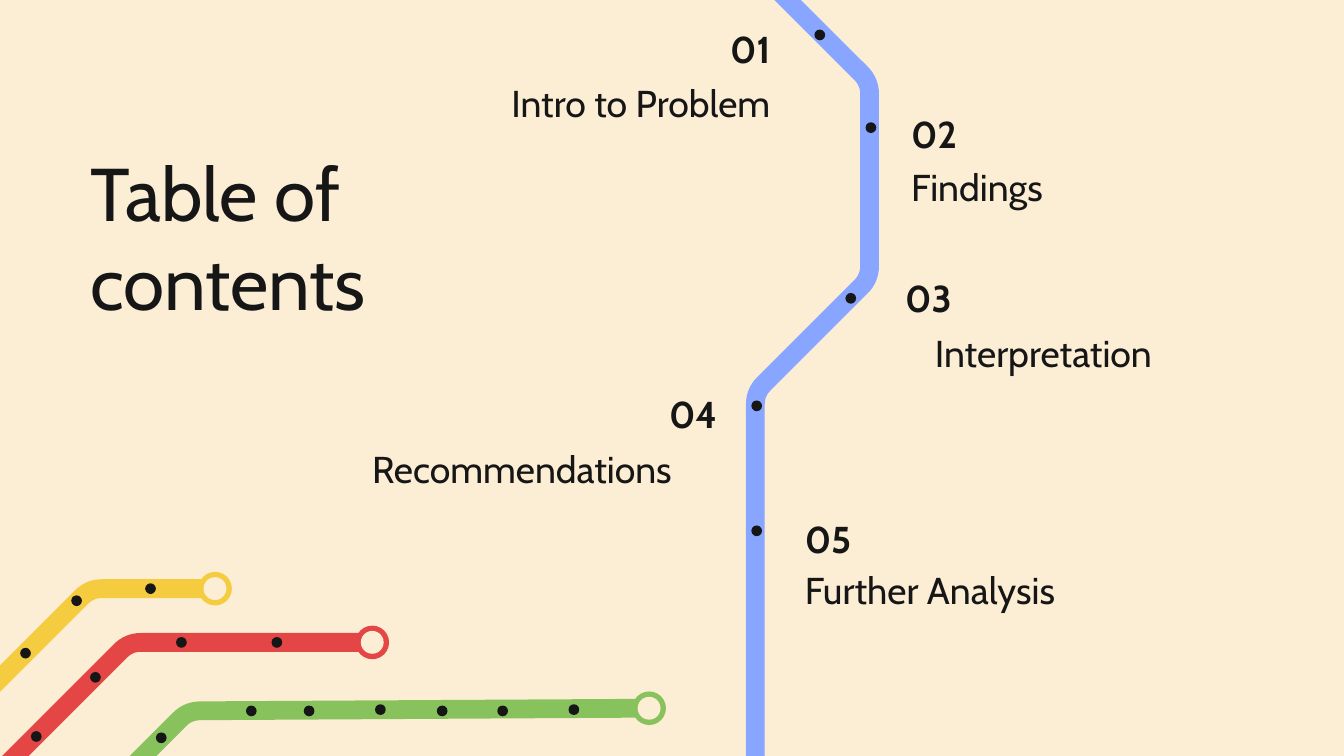
import math

from pptx import Presentation, util as u
from pptx.dml.color import RGBColor
from pptx.enum import shapes, text

COLORS = {
    "paper": "FCEDD5", "ink": "161616", "blue": "88A6FF",
    "green": "88C25D", "yellow": "F5CC3F", "red": "E44646",
}
FONT = "Cabin"
TRACK_WIDTH, BEND, STOP, TERMINUS, HOLE = 0.14, 0.09, 0.08, 0.25, 0.17
LEFT, RIGHT = text.PP_ALIGN.LEFT, text.PP_ALIGN.RIGHT

TITLE = "Table of contents"

# number, its alignment and corner; label, its alignment, corner and width
CHAPTERS = [
    ("01", RIGHT, (5.24, 0.10), "Intro to Problem", RIGHT, (3.44, 0.50), 2.39),
    ("02", LEFT, (6.68, 0.73), "Findings", LEFT, (6.68, 1.12), 2.39),
    ("03", RIGHT, (6.59, 1.95), "Interpretation", RIGHT, (6.59, 2.36), 2.08),
    ("04", LEFT, (4.88, 2.81), "Recommendations", LEFT, (2.67, 3.22), 3.08),
    ("05", LEFT, (5.89, 3.74), "Further Analysis", LEFT, (5.89, 4.12), 2.79),
]

# Corners of each track's centre line, its stops, and whether it ends in a ring
TRACKS = [
    {"color": "green", "ring": True,
     "route": [(1.00, 5.69), (1.40, 5.29), (4.83, 5.27)],
     "stops": [(1.20, 5.49), (1.87, 5.29), (2.30, 5.29), (2.83, 5.28),
               (3.29, 5.29), (3.74, 5.29), (4.27, 5.28)]},
    {"color": "blue", "ring": False,
     "route": [(5.76, -0.10), (6.47, 0.61), (6.47, 2.07), (5.62, 2.92), (5.62, 5.70)],
     "stops": [(6.10, 0.26), (6.48, 0.95), (6.33, 2.22), (5.63, 3.02), (5.63, 3.95)]},
    {"color": "yellow", "ring": True,
     "route": [(-0.10, 5.15), (0.67, 4.38), (1.60, 4.38)],
     "stops": [(0.19, 4.86), (0.57, 4.47), (1.12, 4.38)]},
    {"color": "red", "ring": True,
     "route": [(0.02, 5.72), (0.96, 4.78), (2.77, 4.78)],
     "stops": [(0.27, 5.48), (0.71, 5.04), (1.35, 4.78), (2.06, 4.78)]},
]


def rgb(name):
    return RGBColor.from_string(COLORS[name])


def paint(shape, color):
    shape.shadow.inherit = False
    shape.fill.solid()
    shape.fill.fore_color.rgb = rgb(color)
    shape.line.fill.background()


def toward(start, end, distance):
    share = distance / math.dist(start, end)
    return tuple(a + (b - a) * share for a, b in zip(start, end))


def rounded(route, steps=8):
    """Replace each inner corner by a curve that starts BEND before it."""
    points = [route[0]]
    for before, corner, after in zip(route, route[1:], route[2:]):
        enter, leave = toward(corner, before, BEND), toward(corner, after, BEND)
        for step in range(steps + 1):
            t = step / steps
            points.append(tuple((1 - t) ** 2 * a + 2 * t * (1 - t) * b + t * t * c
                                for a, b, c in zip(enter, corner, leave)))
    return points + [route[-1]]


def side(points, offset):
    """Shift a line sideways along its normals."""
    shifted = []
    for i, (x, y) in enumerate(points):
        x0, y0 = points[max(i - 1, 0)]
        x1, y1 = points[min(i + 1, len(points) - 1)]
        length = math.hypot(x1 - x0, y1 - y0)
        shifted.append((x - (y1 - y0) / length * offset,
                        y + (x1 - x0) / length * offset))
    return shifted


def add_band(slide, route, color):
    centre = rounded(route)
    outline = side(centre, TRACK_WIDTH / 2) + side(centre, -TRACK_WIDTH / 2)[::-1]
    corners = [(u.Inches(x), u.Inches(y)) for x, y in outline]
    builder = slide.shapes.build_freeform(*corners[0], scale=1.0)
    builder.add_line_segments(corners[1:], close=True)
    paint(builder.convert_to_shape(), color)


def add_dot(slide, centre, size, color):
    x, y = (u.Inches(c - size / 2) for c in centre)
    dot = slide.shapes.add_shape(shapes.MSO_SHAPE.OVAL, x, y, u.Inches(size), u.Inches(size))
    paint(dot, color)


def write(shape, words, size, align, anchor, bold=False):
    frame = shape.text_frame
    frame.word_wrap = True
    frame.auto_size = text.MSO_AUTO_SIZE.NONE
    frame.vertical_anchor = anchor
    frame.margin_left = frame.margin_right = u.Inches(0.1)
    frame.margin_top = frame.margin_bottom = u.Inches(0.1)
    paragraph = frame.paragraphs[0]
    paragraph.alignment = align
    run = paragraph.add_run()
    run.text = words
    run.font.name, run.font.size, run.font.bold = FONT, u.Pt(size), bold
    run.font.color.rgb = rgb("ink")


def add_label(slide, words, corner, width, align, bold=False):
    box = slide.shapes.add_textbox(*map(u.Inches, (*corner, width, 0.53)))
    write(box, words, 20, align, text.MSO_ANCHOR.MIDDLE, bold)


def main():
    deck = Presentation()
    deck.slide_width = u.Inches(10)
    deck.slide_height = deck.slide_width * 9 // 16
    slide = deck.slides.add_slide(deck.slide_layouts[5])
    slide.background.fill.solid()
    slide.background.fill.fore_color.rgb = rgb("paper")

    title = slide.shapes.title
    title.left, title.top, title.width, title.height = map(u.Inches, (0.57, 0.99, 2.93, 1.72))
    write(title, TITLE, 40, LEFT, text.MSO_ANCHOR.TOP)

    for track in TRACKS:
        add_band(slide, track["route"], track["color"])
        if track["ring"]:
            add_dot(slide, track["route"][-1], TERMINUS, track["color"])
            add_dot(slide, track["route"][-1], HOLE, "paper")
        for stop in track["stops"]:
            add_dot(slide, stop, STOP, "ink")

    for number, number_align, number_at, label, label_align, label_at, width in CHAPTERS:
        add_label(slide, number, number_at, 0.59, number_align, bold=True)
        add_label(slide, label, label_at, width, label_align)

    deck.save("out.pptx")


if __name__ == "__main__":
    main()
